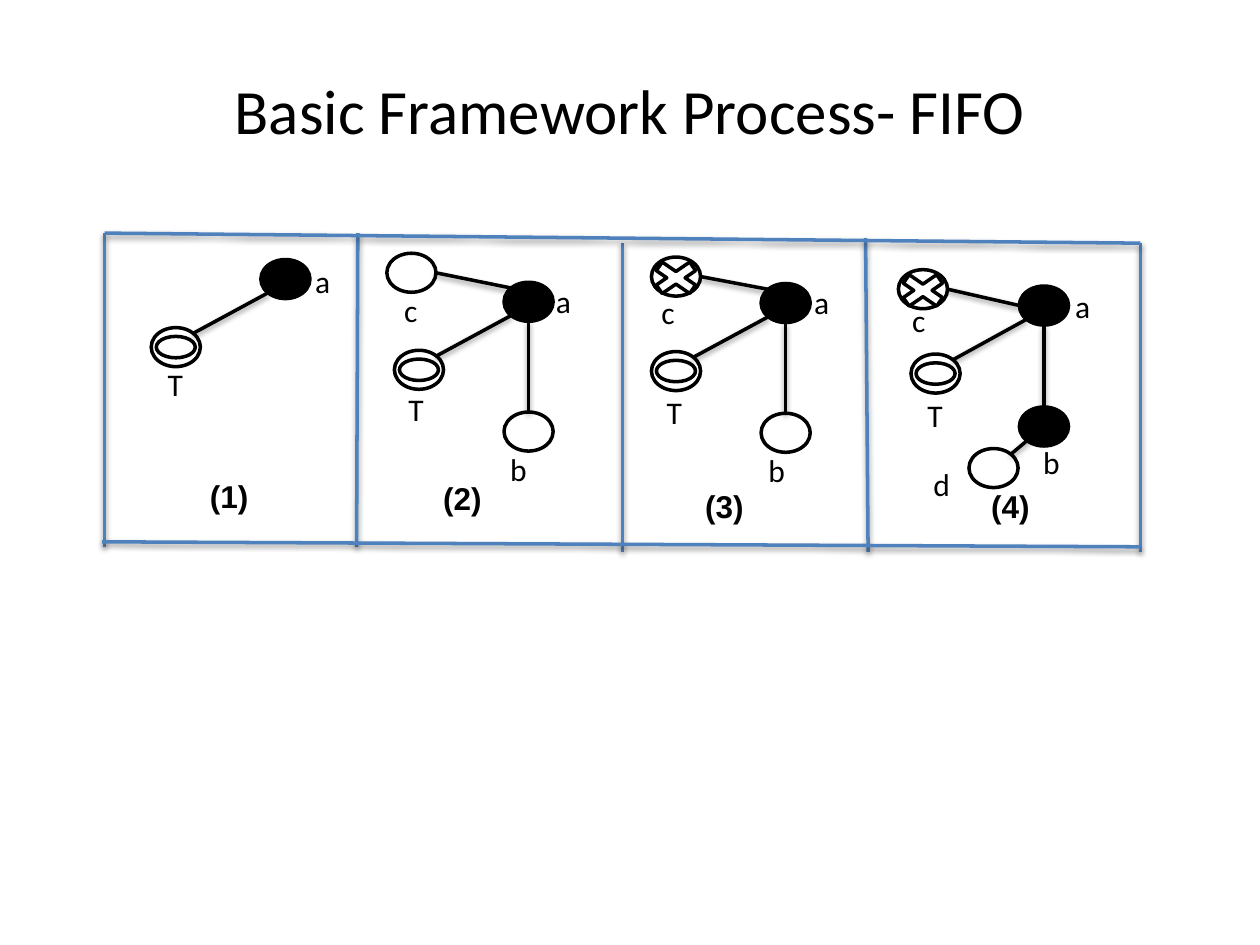
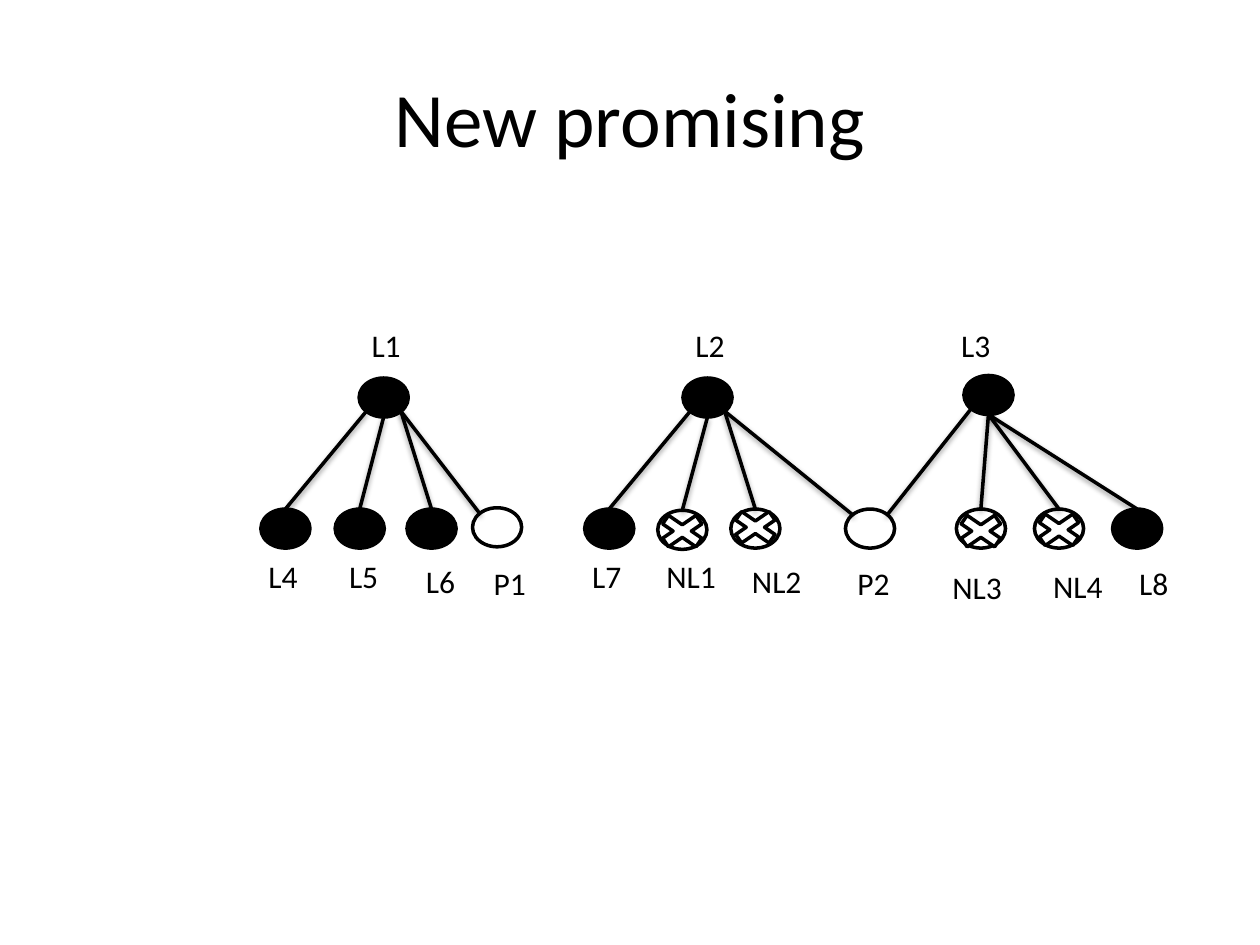
import dataclasses
import pptx
import pptx.util
import pptx.dml.color
import pptx.enum.shapes
import pptx.enum.text
import pptx.oxml
import pptx.oxml.ns

SHAPES = pptx.enum.shapes.MSO_SHAPE
LEFT = pptx.enum.text.PP_ALIGN.LEFT
CENTER = pptx.enum.text.PP_ALIGN.CENTER
RIGHT = pptx.enum.text.PP_ALIGN.RIGHT
TOP = pptx.enum.text.MSO_ANCHOR.TOP
MIDDLE = pptx.enum.text.MSO_ANCHOR.MIDDLE

EMU_PER_PX = 9144  # 100 px to the inch


@dataclasses.dataclass(frozen=True)
class Theme:
    font: str = "Calibri"
    right_to_left_font: str = "Arial"
    ink: str = "000000"
    paper: str = "FFFFFF"
    frame: str = "4F81BD"
    long_title: int = 36
    title: int = 44
    label: int = 18
    line: int = 2


@dataclasses.dataclass(frozen=True)
class Node:
    """A circle, placed in its graph, and its label box, placed from the circle."""
    kind: str
    x: int
    y: int
    label_x: int
    label_y: int
    label_width: int
    align: object
    mark_shift: int


THEME = Theme()
NODE_WIDTH, NODE_HEIGHT = 39, 31
LABEL_HEIGHT = 40

# Places on a circle as fractions of its box
SITES = {"n": (0.5, 0), "s": (0.5, 1), "w": (0, 0.5), "e": (1, 0.5), "center": (0.5, 0.5),
         "nw": (0.15, 0.15), "ne": (0.85, 0.15), "sw": (0.15, 0.85), "se": (0.85, 0.85)}

# Preset shape, offset and size of the mark laid over a circle
MARKS = {"target": (SHAPES.OVAL, 4, 7, 31, 17),
         "crossed": (SHAPES.MATH_MULTIPLY, -6, -1, 51, 35)}

FRAME_BOX = (83, 185, 822, 249)
FRAME_LINES = [
    (0, 0, 0, 249), (201, 0, 200, 249), (411, 8, 411, 253),
    (604, 4, 606, 253), (822, 8, 822, 253),
    (0, 0, 822, 8), (-2, 245, 822, 249),
]


def right_node(kind, x, y, label_x, label_y, width=44, mark_shift=0):
    return Node(kind, x, y, label_x, label_y, width, RIGHT, mark_shift)


def left_node(kind, x, y, label_x, label_y, width=58, mark_shift=0):
    return Node(kind, x, y, label_x, label_y, width, LEFT, mark_shift)


FIRST_EDGE = [("T", "ne", "a", "sw")]
STEP_EDGES = FIRST_EDGE + [("a", "s", "b", "n"), ("a", "nw", "c", "e")]
LAST_EDGES = FIRST_EDGE + [("a", "s", "b", "n"), ("a", "w", "c", "e"),
                           ("b", "center", "d", "ne")]

# Left edge in the frame, caption place, nodes, edges
STEPS = [
    (0, (57, 189), {
        "T": right_node("target", 37, 75, -9, 25),
        "a": right_node("filled", 124, 21, 21, -3),
    }, FIRST_EDGE),
    (201, (41, 190), {
        "c": left_node("open", 23, 16, 4, 25),
        "T": right_node("target", 29, 93, -11, 27),
        "a": right_node("filled", 116, 39, 19, -5),
        "b": left_node("open", 116, 142, -5, 25),
    }, STEP_EDGES),
    (411, (39, 197), {
        "c": left_node("crossed", 23, 19, -2, 24),
        "T": right_node("target", 23, 94, -10, 28),
        "a": right_node("filled", 110, 40, 20, -5),
        "b": left_node("open", 110, 143, -4, 25),
    }, STEP_EDGES),
    (605, (72, 197), {
        "c": left_node("crossed", 25, 29, 1, 20),
        "T": right_node("target", 35, 96, -9, 28),
        "a": right_node("filled", 121, 42, 22, -4),
        "b": left_node("filled", 121, 138, 9, 24),
        "d": left_node("open", 81, 171, -38, 8),
    }, LAST_EDGES),
]

FOREST_BOX = (207, 254, 730, 232)
FOREST_NODES = {
    "L1": left_node("filled", 78, 46, 0, -46, 79),
    "L4": right_node("filled", 0, 150, -40, 33, 79),
    "L5": right_node("filled", 59, 150, -8, 33, 52),
    "L6": right_node("filled", 116, 150, -22, 37, 70),
    "P1": left_node("open", 168, 149, 7, 40, 70),
    "L2": left_node("filled", 335, 46, 0, -46, 79),
    "L7": right_node("filled", 257, 150, -40, 33, 79),
    "NL1": right_node("crossed", 315, 151, -7, 32, 63),
    "NL2": left_node("crossed", 373, 150, 7, 37, 70, mark_shift=-2),
    "P2": right_node("open", 464, 150, -25, 39, 70),
    "L3": left_node("filled", 558, 44, -12, -44, 66),
    "NL3": right_node("crossed", 552, 150, -24, 42, 70, mark_shift=1),
    "NL4": right_node("crossed", 614, 150, -6, 41, 70),
    "L8": right_node("filled", 676, 150, 2, 39, 52),
}
FOREST_EDGES = [
    ("L1", "sw", "L4", "n"), ("L1", "s", "L5", "n"),
    ("L1", "se", "L6", "n"), ("L1", "se", "P1", "nw"),
    ("L2", "sw", "L7", "n"), ("L2", "s", "NL1", "n"),
    ("L2", "se", "NL2", "n"), ("L2", "se", "P2", "nw"),
    ("L3", "sw", "P2", "ne"), ("L3", "s", "NL3", "n"),
    ("L3", "s", "NL4", "n"), ("L3", "s", "L8", "n"),
]


def px(*lengths):
    return [pptx.util.Emu(round(length * EMU_PER_PX)) for length in lengths]


def color(value):
    return pptx.dml.color.RGBColor.from_string(value)


def add_text(slide, box, text, size, align, anchor=TOP):
    frame = slide.shapes.add_textbox(*px(*box)).text_frame
    frame.word_wrap = True
    frame.vertical_anchor = anchor
    paragraph = frame.paragraphs[0]
    paragraph.text = text
    paragraph.alignment = align
    paragraph.font.name = THEME.font
    paragraph.font.size = pptx.util.Pt(size)
    paragraph.font.color.rgb = color(THEME.ink)
    return paragraph


def add_caption(slide, box, text):
    """Add a bold caption that reads from right to left."""
    paragraph = add_text(slide, box, text, THEME.label, RIGHT)
    paragraph._p.get_or_add_pPr().set("rtl", "1")
    font = paragraph.runs[0].font
    font.bold = True
    font.name = THEME.font
    font._element.append(pptx.oxml.parse_xml(
        f'<a:cs {pptx.oxml.ns.nsdecls("a")} typeface="{THEME.right_to_left_font}"/>'))


def add_outlined(slide, preset, box, fill):
    shape = slide.shapes.add_shape(preset, *px(*box))
    shape.shadow.inherit = False
    shape.fill.solid()
    shape.fill.fore_color.rgb = color(fill)
    shape.line.color.rgb = color(THEME.ink)
    shape.line.width = pptx.util.Pt(THEME.line)


def add_line(slide, ends, line_color):
    """Draw a straight line with a soft shadow below it."""
    connector = slide.shapes.add_connector(
        pptx.enum.shapes.MSO_CONNECTOR.STRAIGHT, *px(*ends))
    connector.line.color.rgb = color(line_color)
    connector.line.width = pptx.util.Pt(THEME.line)
    connector._element.spPr.append(pptx.oxml.parse_xml(
        f'<a:effectLst {pptx.oxml.ns.nsdecls("a")}>'
        '<a:outerShdw blurRad="40000" dist="20000" dir="5400000" rotWithShape="0">'
        f'<a:srgbClr val="{THEME.ink}"><a:alpha val="38000"/></a:srgbClr>'
        '</a:outerShdw></a:effectLst>'))


def add_node(slide, left, top, name, node):
    x, y = left + node.x, top + node.y
    fill = THEME.ink if node.kind == "filled" else THEME.paper
    add_outlined(slide, SHAPES.OVAL, (x, y, NODE_WIDTH, NODE_HEIGHT), fill)
    if node.kind in MARKS:
        preset, mark_x, mark_y, width, height = MARKS[node.kind]
        mark_box = (x + mark_x, y + mark_y + node.mark_shift, width, height)
        add_outlined(slide, preset, mark_box, THEME.paper)
    label_box = (x + node.label_x, y + node.label_y, node.label_width, LABEL_HEIGHT)
    add_text(slide, label_box, name, THEME.label, node.align)


def add_graph(slide, box, nodes, edges):
    left, top = box[:2]

    def site_point(name, site):
        across, down = SITES[site]
        node = nodes[name]
        return left + node.x + across * NODE_WIDTH, top + node.y + down * NODE_HEIGHT

    for name, node in nodes.items():
        add_node(slide, left, top, name, node)
    for start, start_site, end, end_site in edges:
        ends = site_point(start, start_site) + site_point(end, end_site)
        add_line(slide, ends, THEME.ink)


def add_frame(slide, box):
    left, top = box[:2]
    for x1, y1, x2, y2 in FRAME_LINES:
        add_line(slide, (left + x1, top + y1, left + x2, top + y2), THEME.frame)


def add_steps(slide, box):
    left, top = box[:2]
    for number, (step_x, caption, nodes, edges) in enumerate(STEPS, 1):
        step_left = left + step_x
        add_graph(slide, (step_left, top), nodes, edges)
        caption_box = (step_left + caption[0], top + caption[1], 67, LABEL_HEIGHT)
        add_caption(slide, caption_box, f"({number})")


def add_process_slide(presentation):
    slide = presentation.slides.add_slide(presentation.slide_layouts[6])
    add_text(slide, (140, 52, 720, 71), "Basic Framework Process- FIFO",
             THEME.long_title, CENTER)
    add_frame(slide, FRAME_BOX)
    add_steps(slide, FRAME_BOX)


def add_promising_slide(presentation):
    slide = presentation.slides.add_slide(presentation.slide_layouts[6])
    add_text(slide, (50, 30, 900, 125), "New promising", THEME.title, CENTER, MIDDLE)
    add_graph(slide, FOREST_BOX, FOREST_NODES, FOREST_EDGES)


def main():
    presentation = pptx.Presentation()
    presentation.slide_width, presentation.slide_height = px(1000, 750)
    add_process_slide(presentation)
    add_promising_slide(presentation)
    presentation.save("out.pptx")


if __name__ == "__main__":
    main()
